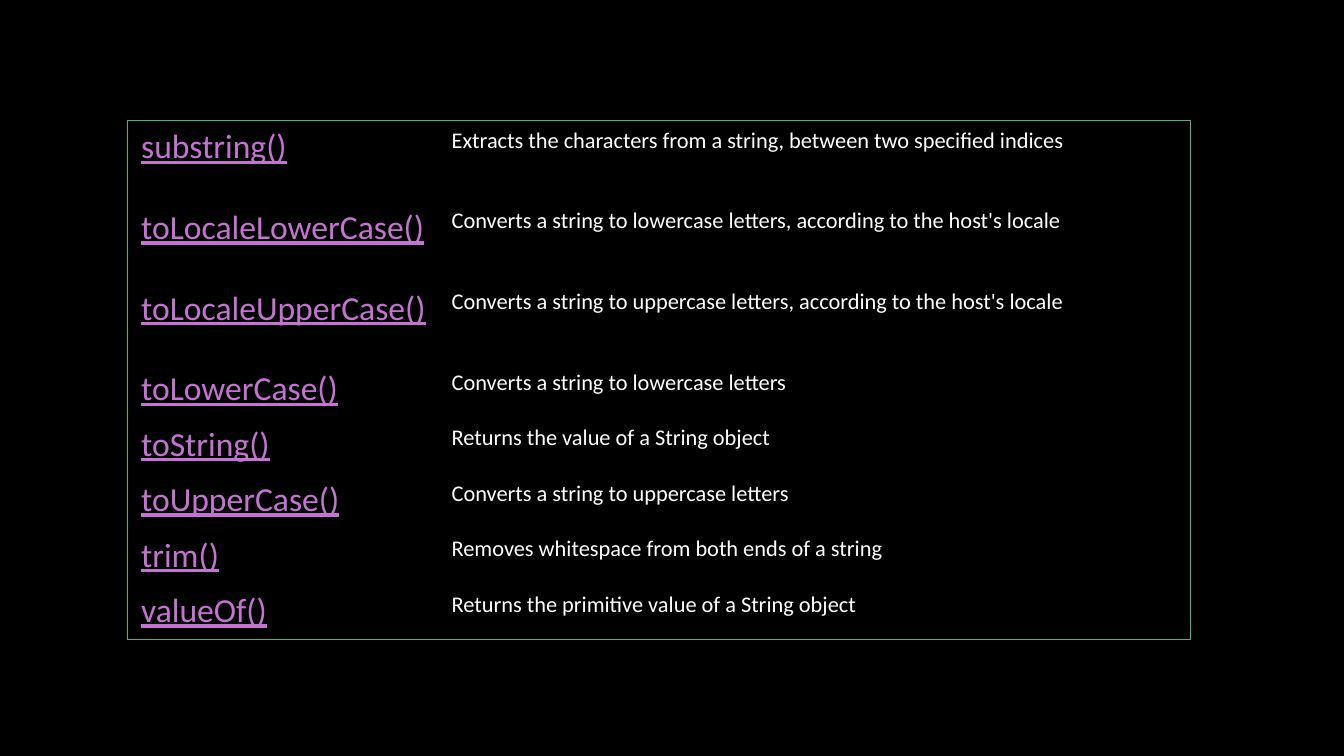
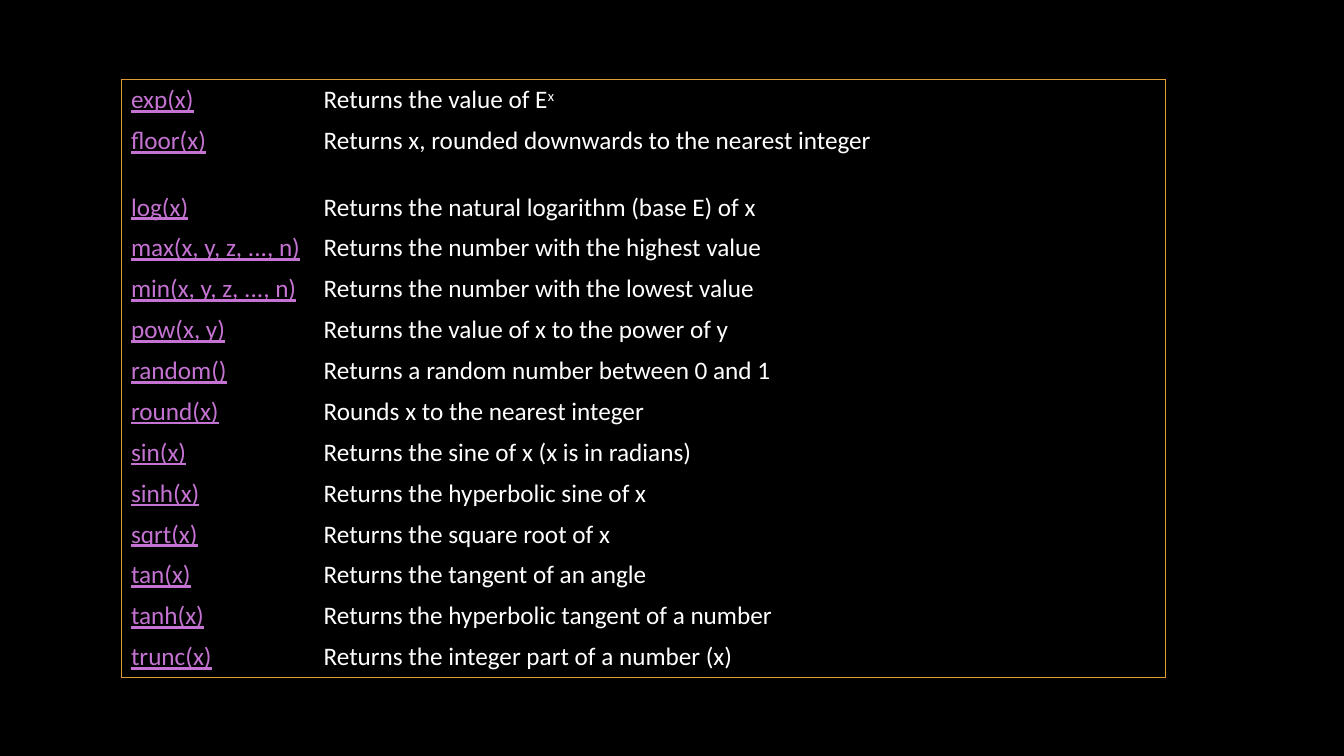
from lxml.etree import SubElement
from pptx import Presentation
from pptx.dml.color import RGBColor
from pptx.oxml.ns import qn
from pptx.util import Inches, Pt

BLACK = RGBColor(0x00, 0x00, 0x00)
WHITE = RGBColor(0xFF, 0xFF, 0xFF)
ORCHID = RGBColor(0xC5, 0x73, 0xD2)
GREEN = RGBColor(0x46, 0xB2, 0x98)
AMBER = RGBColor(0xDD, 0x9D, 0x31)
FONT = "Calibri"
FRAME_WIDTH = Pt(0.75)

STRING_METHODS = [
    ("substring()", "Extracts the characters from a string, between two specified indices"),
    ("toLocaleLowerCase()", "Converts a string to lowercase letters, according to the host's locale"),
    ("toLocaleUpperCase()", "Converts a string to uppercase letters, according to the host's locale"),
    ("toLowerCase()", "Converts a string to lowercase letters"),
    ("toString()", "Returns the value of a String object"),
    ("toUpperCase()", "Converts a string to uppercase letters"),
    ("trim()", "Removes whitespace from both ends of a string"),
    ("valueOf()", "Returns the primitive value of a String object"),
]
MATH_METHODS = [
    ("exp(x)", "Returns the value of E"),
    ("floor(x)", "Returns x, rounded downwards to the nearest integer"),
    ("log(x)", "Returns the natural logarithm (base E) of x"),
    ("max(x, y, z, ..., n)", "Returns the number with the highest value"),
    ("min(x, y, z, ..., n)", "Returns the number with the lowest value"),
    ("pow(x, y)", "Returns the value of x to the power of y"),
    ("random()", "Returns a random number between 0 and 1"),
    ("round(x)", "Rounds x to the nearest integer"),
    ("sin(x)", "Returns the sine of x (x is in radians)"),
    ("sinh(x)", "Returns the hyperbolic sine of x"),
    ("sqrt(x)", "Returns the square root of x"),
    ("tan(x)", "Returns the tangent of an angle"),
    ("tanh(x)", "Returns the hyperbolic tangent of a number"),
    ("trunc(x)", "Returns the integer part of a number (x)"),
]


def add_text(paragraph, text, size, color=WHITE, underline=False, superscript=False):
    """Append a formatted run to a paragraph."""
    run = paragraph.add_run()
    run.text = text
    run.font.name = FONT
    run.font.size = Pt(size)
    run.font.color.rgb = color
    run.font.underline = underline
    if superscript:
        run._r.get_or_add_rPr().set("baseline", "30000")


def set_borders(cell, framed_sides, color):
    """Draw the framed sides of a cell and clear its other sides."""
    properties = cell._tc.get_or_add_tcPr()
    for side in "LRTB":
        line = SubElement(properties, qn(f"a:ln{side}"), w=str(FRAME_WIDTH))
        if side in framed_sides:
            fill = SubElement(line, qn("a:solidFill"))
            SubElement(fill, qn("a:srgbClr"), val=str(color))
        else:
            SubElement(line, qn("a:noFill"))


def add_method_table(slide, box, methods, column_widths, row_heights,
                     name_size, description_size, padding, frame_color):
    """Place a framed list of methods and descriptions; return the table."""
    table = slide.shapes.add_table(len(methods), 2, *map(Inches, box)).table
    table.first_row = table.horz_banding = False
    for column, width in zip(table.columns, column_widths):
        column.width = Inches(width)
    for row, height in zip(table.rows, row_heights):
        row.height = Inches(height)

    last_row = len(methods) - 1
    for index, (name, description) in enumerate(methods):
        outer = ("T" if index == 0 else "") + ("B" if index == last_row else "")
        name_cell, description_cell = table.rows[index].cells
        for cell, side in ((name_cell, "L"), (description_cell, "R")):
            set_borders(cell, outer + side, frame_color)
            cell.fill.background()
            cell.margin_left = cell.margin_right = Inches(padding)
            cell.margin_top = cell.margin_bottom = Inches(padding)
        name_cell.margin_left = Inches(2 * padding)
        add_text(name_cell.text_frame.paragraphs[0], name, name_size,
                 color=ORCHID, underline=True)
        add_text(description_cell.text_frame.paragraphs[0], description, description_size)
    return table


def add_black_slide(deck):
    """Add a blank slide with a black background."""
    slide = deck.slides.add_slide(deck.slide_layouts[6])
    slide.background.fill.solid()
    slide.background.fill.fore_color.rgb = BLACK
    return slide


def add_string_slide(deck):
    """Build the slide of String methods."""
    add_method_table(
        add_black_slide(deck), (1.26, 1.19, 10.55, 5.15), STRING_METHODS,
        column_widths=(3.15, 7.4), row_heights=[0.8] * 3 + [0.55] * 5,
        name_size=24, description_size=16, padding=0.07, frame_color=GREEN)


def add_math_slide(deck):
    """Build the slide of Math methods."""
    table = add_method_table(
        add_black_slide(deck), (1.2, 0.79, 10.36, 5.86), MATH_METHODS,
        column_widths=(1.96, 8.4), row_heights=[0.4, 0.66] + [0.4] * 12,
        name_size=18, description_size=18, padding=0.05, frame_color=AMBER)
    exp_description = table.cell(0, 1).text_frame.paragraphs[0]
    add_text(exp_description, "x", 18, superscript=True)


deck = Presentation()
deck.slide_width, deck.slide_height = Inches(13.33), Inches(7.5)
add_string_slide(deck)
add_math_slide(deck)
deck.save("out.pptx")
